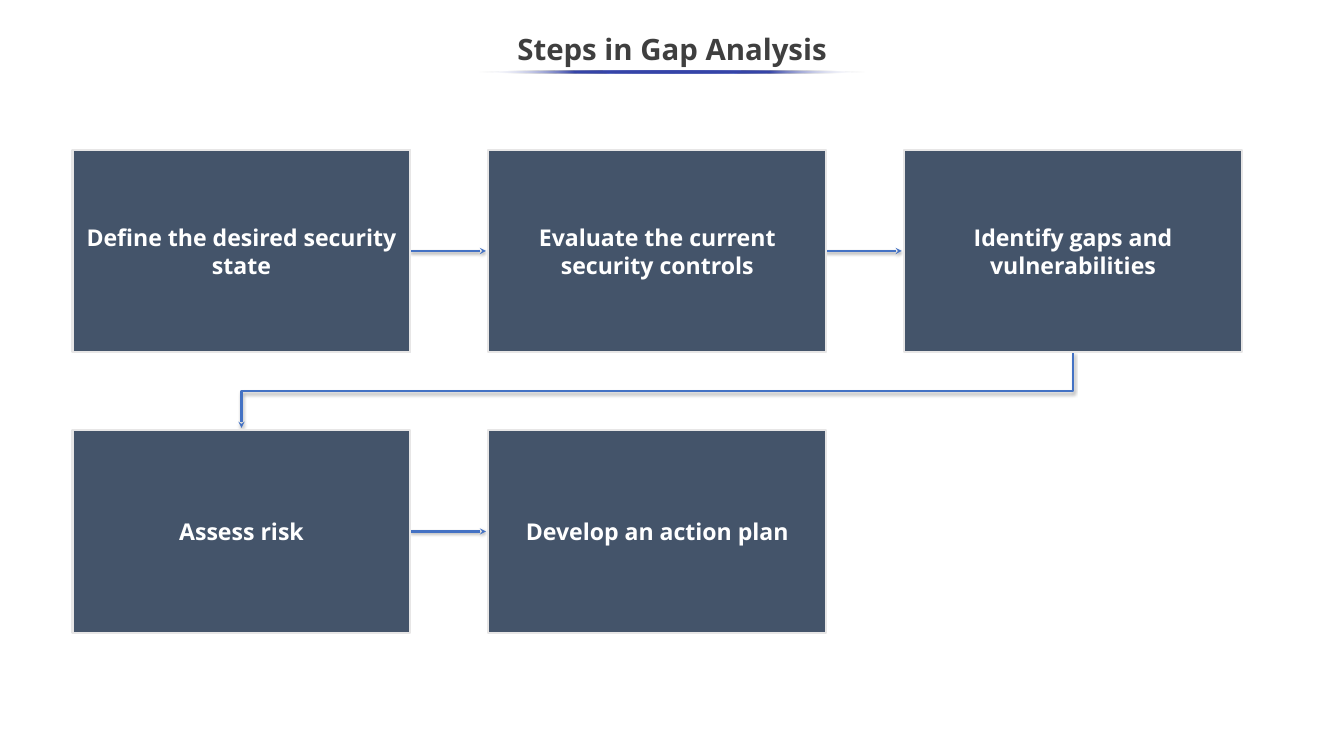
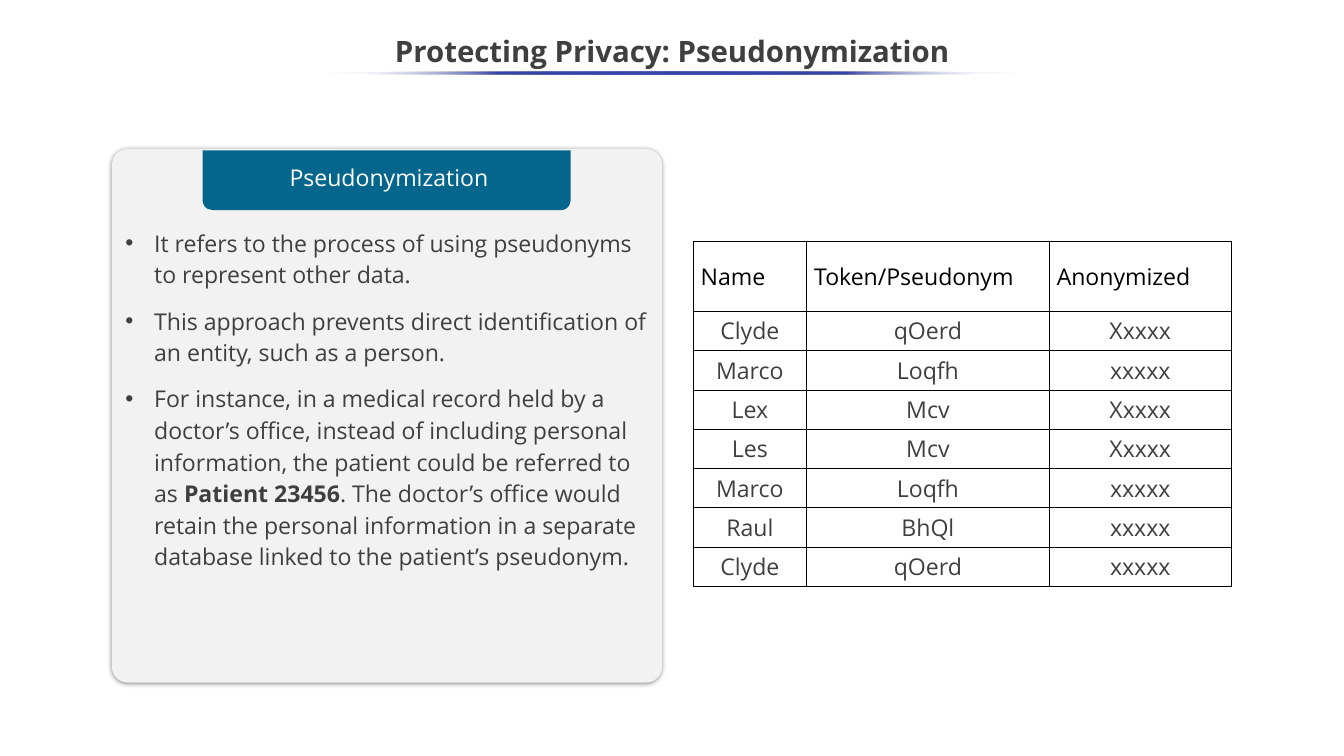
from lxml import etree
from pptx import Presentation
from pptx.dml.color import RGBColor
from pptx.enum.shapes import MSO_CONNECTOR, MSO_SHAPE
from pptx.enum.text import MSO_ANCHOR, MSO_AUTO_SIZE, PP_ALIGN
from pptx.oxml import parse_xml
from pptx.oxml.ns import qn
from pptx.util import Inches, Pt

LEFT, MID = PP_ALIGN.LEFT, PP_ALIGN.CENTER
TOP, CENTER = MSO_ANCHOR.TOP, MSO_ANCHOR.MIDDLE
NS = 'xmlns:a="http://schemas.openxmlformats.org/drawingml/2006/main"'
FONT = "Open Sans"
WIDE, HIGH = 17.78, 10
INK = {
    "text": "3F3F3F", "white": "FFFFFF", "black": "000000",
    "rule": "3645A9", "step": "44546A", "edge": "E7E6E6",
    "arrow": "4472C4", "card": "F2F2F2", "tab": "05668D",
}

STEPS = [
    "Define the desired security state",
    "Evaluate the current security controls",
    "Identify gaps and vulnerabilities",
    "Assess risk",
    "Develop an action plan",
]
POINTS = [
    "It refers to the process of using pseudonyms to represent other data.",
    "This approach prevents direct identification of an entity, such as a person.",
    [("For instance, in a medical record held by a doctor’s office, instead of "
      "including personal information, the patient could be referred to as ", False),
     ("Patient 23456", True),
     (". The doctor’s office would retain the personal information in a separate "
      "database linked to the patient’s pseudonym.", False)],
]
ROWS = [
    ("Name", "Token/Pseudonym", "Anonymized"),
    ("Clyde", "qOerd", "Xxxxx"),
    ("Marco", "Loqfh", "xxxxx"),
    ("Lex", "Mcv", "Xxxxx"),
    ("Les", "Mcv", "Xxxxx"),
    ("Marco", "Loqfh", "xxxxx"),
    ("Raul", "BhQl", "xxxxx"),
    ("Clyde", "qOerd", "xxxxx"),
]
COLS = (1.5, 3.21, 2.41)


def rgb(name):
    return RGBColor.from_string(INK[name])


def box(*sizes):
    return [Inches(size) for size in sizes]


def write(frame, paras, size=22, color="text", bold=False, align=MID,
          anchor=CENTER, inset=(0.1, 0.05), lead=1.0, gap=0, bullet=False):
    """Fill a text frame; a paragraph is a string or a list of (text, bold)."""
    frame.word_wrap = True
    frame.auto_size = MSO_AUTO_SIZE.NONE
    frame.vertical_anchor = anchor
    frame.margin_left = frame.margin_right = Inches(inset[0])
    frame.margin_top = frame.margin_bottom = Inches(inset[1])
    for i, item in enumerate(paras):
        para = frame.add_paragraph() if i else frame.paragraphs[0]
        if bullet:
            dot(para, color)
        para.alignment, para.line_spacing = align, lead
        para.space_before = Pt(gap if i else 0)
        for text, heavy in [(item, bold)] if isinstance(item, str) else item:
            run = para.add_run()
            run.text = text
            run.font.name, run.font.size = FONT, Pt(size)
            run.font.bold = heavy
            run.font.color.rgb = rgb(color)


def dot(para, color, indent=0.38):
    props = para._p.get_or_add_pPr()
    props.set("marL", str(Inches(indent)))
    props.set("indent", str(-Inches(indent)))
    tint = etree.SubElement(props, qn("a:buClr"))
    etree.SubElement(tint, qn("a:srgbClr"), val=INK[color])
    etree.SubElement(props, qn("a:buFont"), typeface="Arial")
    etree.SubElement(props, qn("a:buChar"), char="•")


def shade(shape, blur, dist, alpha):
    """Give a shape or connector a shadow that falls straight down."""
    shape.element.spPr.append(parse_xml(
        f'<a:effectLst {NS}><a:outerShdw blurRad="{Pt(blur)}" dist="{Pt(dist)}" '
        f'dir="5400000" algn="ctr" rotWithShape="0"><a:srgbClr val="{INK["black"]}">'
        f'<a:alpha val="{alpha * 1000}"/></a:srgbClr></a:outerShdw></a:effectLst>'))


def block(slide, kind, place, fill=None, edge=None, shadow=None):
    shape = slide.shapes.add_shape(kind, *box(*place))
    if fill:
        shape.fill.solid()
        shape.fill.fore_color.rgb = rgb(fill)
    if edge:
        shape.line.color.rgb, shape.line.width = rgb(edge), Pt(2)
    else:
        shape.line.fill.background()
    if shadow:
        shade(shape, *shadow)
    else:
        shape.shadow.inherit = False
    return shape


def arrow(slide, points):
    """Draw a straight connector for two points, else an open outline."""
    if len(points) == 2:
        (x, y), (end, low) = points
        shape = slide.shapes.add_connector(
            MSO_CONNECTOR.STRAIGHT, *box(x, y, end, low))
    else:
        pen = slide.shapes.build_freeform(*box(*points[0]))
        pen.add_line_segments([box(*spot) for spot in points[1:]], close=False)
        shape = pen.convert_to_shape()
        shape.fill.background()
    shape.line.color.rgb, shape.line.width = rgb("arrow"), Pt(2)
    etree.SubElement(shape.line._get_or_add_ln(), qn("a:tailEnd"), type="stealth")
    shade(shape, 3.1, 1.6, 38)


def start(deck, layout, title, top, span):
    """Add a slide with its title and the fading rule below it."""
    slide = deck.slides.add_slide(deck.slide_layouts[layout])
    head = slide.shapes.title
    head.left, head.top, head.width, head.height = box(0, top, WIDE, 0.73)
    write(head.text_frame, [title], size=28, bold=True, lead=0.9)
    rule = block(slide, MSO_SHAPE.OVAL, ((WIDE - span) / 2, top + 0.62, span, 0.04))
    clear = f'<a:srgbClr val="{INK["white"]}"><a:alpha val="0"/></a:srgbClr>'
    solid = f'<a:srgbClr val="{INK["rule"]}"/>'
    stops = "".join(
        f'<a:gs pos="{at * 1000}">{clear if at in (0, 100) else solid}</a:gs>'
        for at in range(0, 101, 25))
    rule.element.spPr.find(qn("a:prstGeom")).addnext(parse_xml(
        f'<a:gradFill {NS}><a:gsLst>{stops}</a:gsLst>'
        '<a:lin ang="10800000" scaled="0"/></a:gradFill>'))
    return slide


def frame_cell(cell):
    cell.fill.background()
    props = cell._tc.get_or_add_tcPr()
    for i, side in enumerate("LRTB"):
        props.insert(i, parse_xml(
            f'<a:ln{side} {NS} w="{Pt(1)}"><a:solidFill>'
            f'<a:srgbClr val="{INK["black"]}"/></a:solidFill></a:ln{side}>'))


def gap_steps(deck):
    slide = start(deck, 5, "Steps in Gap Analysis", 0.31, 5.11)
    wide, high, across = 4.47, 2.68, 3
    spots = [(0.96 + 5.5 * (i % across), 1.98 + 3.71 * (i // across))
             for i in range(len(STEPS))]
    for (x, y), (end, low) in zip(spots, spots[1:]):
        if y == low:
            mid = y + high / 2
            arrow(slide, [(x + wide, mid), (end - 0.03, mid)])
        else:
            x, end, y = x + wide / 2, end + wide / 2, y + high
            turn = (y + low) / 2
            arrow(slide, [(x, y), (x, turn), (end, turn), (end, low - 0.03)])
    for (x, y), step in zip(spots, STEPS):
        shape = block(slide, MSO_SHAPE.RECTANGLE, (x, y, wide, high), "step", "edge")
        write(shape.text_frame, [step], color="white", bold=True, inset=(0.17, 0.17))


def privacy(deck):
    slide = start(deck, 1, "Protecting Privacy: Pseudonymization", 0.33, 9.18)
    card = block(slide, MSO_SHAPE.ROUNDED_RECTANGLE, (1.48, 1.97, 7.28, 7.06),
                 "card", shadow=(4.5, 1.5, 50))
    card.adjustments[0] = 0.03
    tab = block(slide, MSO_SHAPE.ROUND_2_SAME_RECTANGLE, (2.68, 1.99, 4.87, 0.79), "tab")
    tab.rotation = 180
    label = slide.shapes.add_textbox(*box(3.29, 2.16, 3.71, 0.43))
    write(label.text_frame, ["Pseudonymization"], color="white", anchor=TOP, lead=0.9)

    body = slide.placeholders[1]
    body.left, body.top, body.width, body.height = box(1.48, 2.8, 7.28, 4.97)
    write(body.text_frame, POINTS, align=LEFT, anchor=TOP, inset=(0.18, 0.18),
          lead=1.14, gap=14, bullet=True)
    label.element.addnext(body.element)

    tall = [0.92] + [0.52] * (len(ROWS) - 1)
    table = slide.shapes.add_table(
        len(ROWS), len(COLS), *box(9.17, 3.2, sum(COLS), sum(tall))).table
    table.first_row = table.horz_banding = False
    for col, size in zip(table.columns, COLS):
        col.width = Inches(size)
    for r, (row, size) in enumerate(zip(ROWS, tall)):
        table.rows[r].height = Inches(size)
        look = {"anchor": TOP} if r else {"color": "black", "align": LEFT}
        for c, text in enumerate(row):
            cell = table.cell(r, c)
            write(cell.text_frame, [text], **look)
            cell.vertical_anchor = look.get("anchor", CENTER)
            cell.margin_left = cell.margin_right = Inches(0.1)
            cell.margin_top = cell.margin_bottom = Inches(0.05)
            frame_cell(cell)


def main():
    deck = Presentation()
    deck.slide_width, deck.slide_height = box(WIDE, HIGH)
    gap_steps(deck)
    privacy(deck)
    deck.save("out.pptx")


if __name__ == "__main__":
    main()
